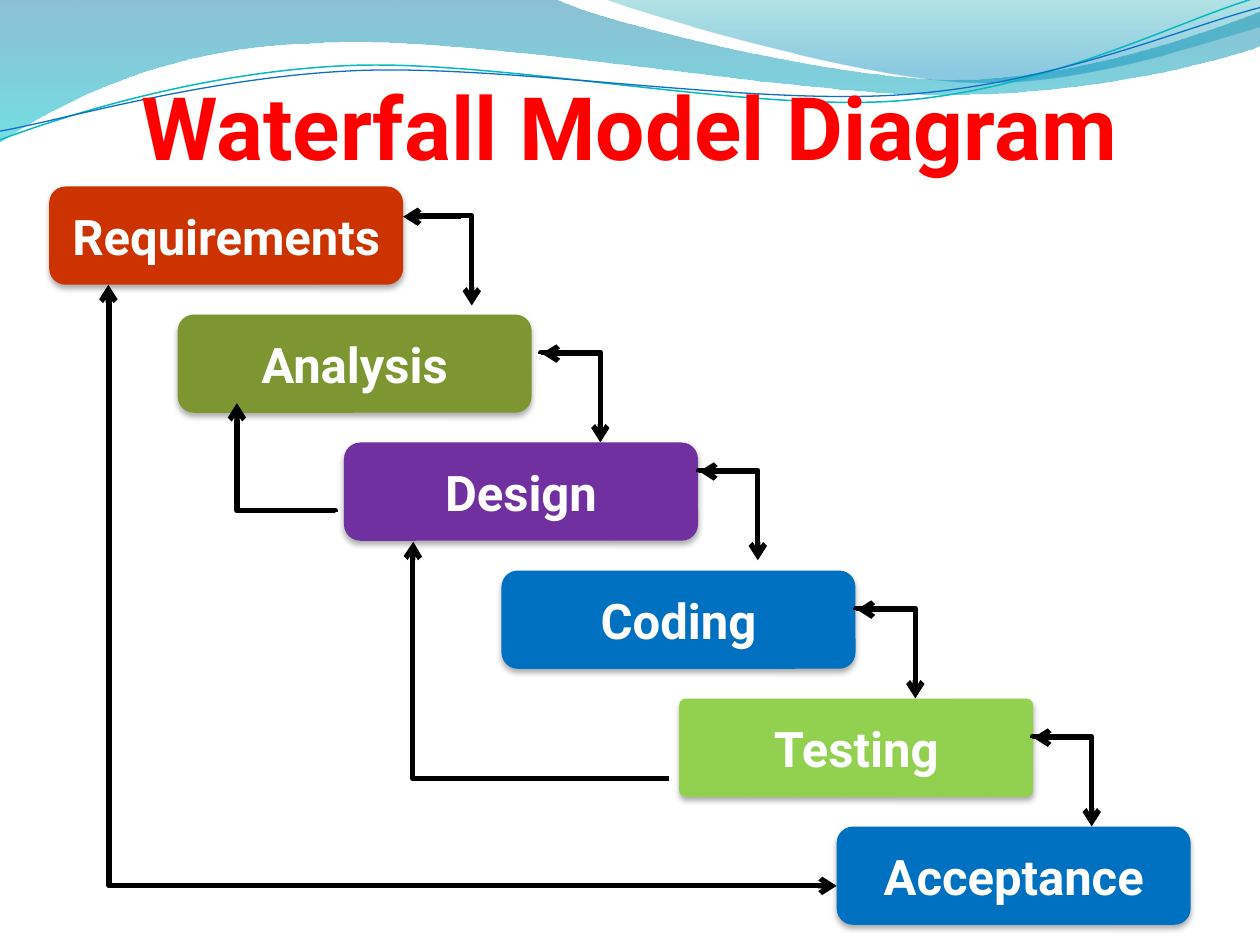
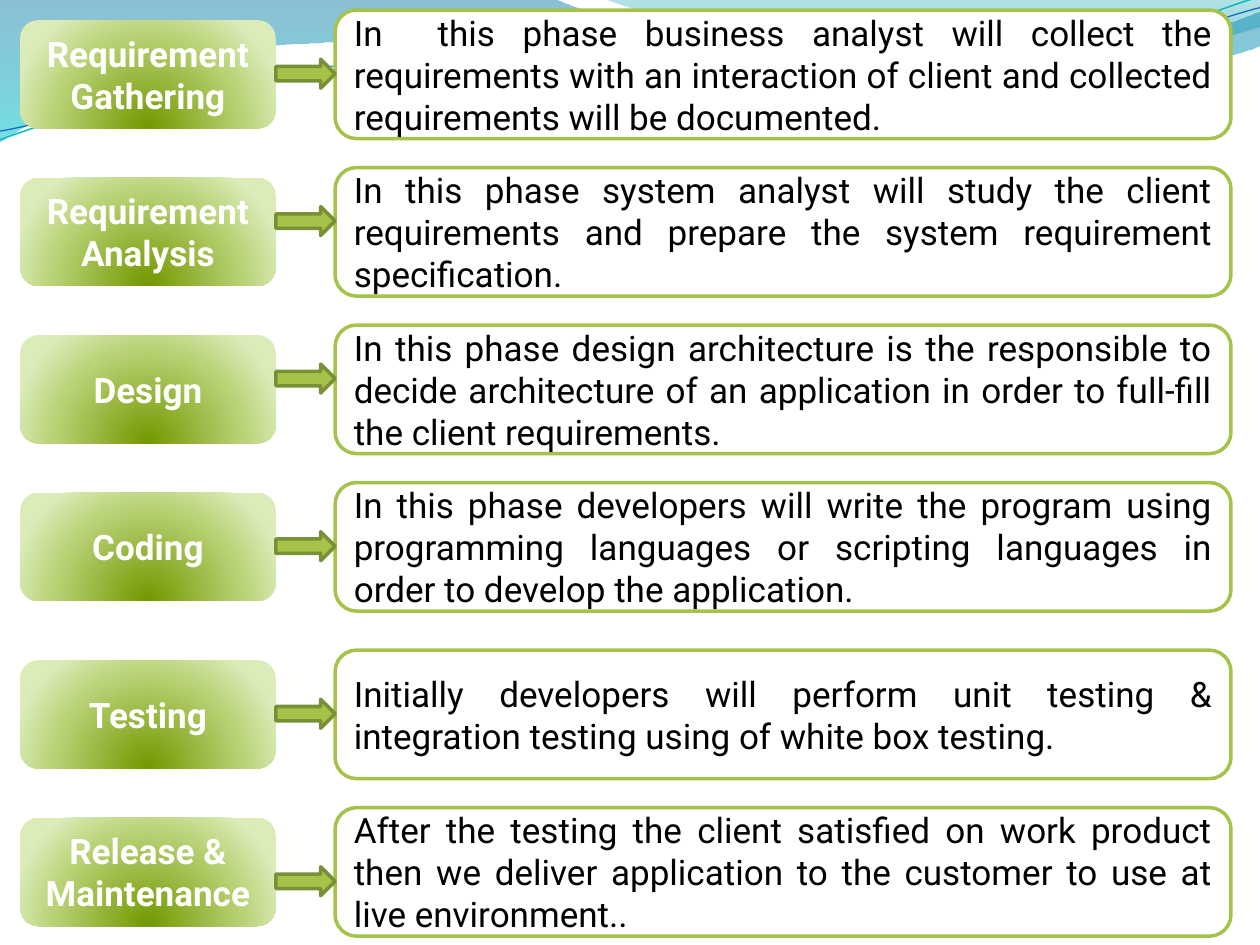
"""Two slides on the waterfall model: the step diagram and the phase list."""
import math
from collections import namedtuple

from pptx import Presentation, oxml, util as u
from pptx.dml.color import RGBColor
from pptx.enum import shapes, text
from pptx.oxml import ns

Box = namedtuple("Box", "left top width height")
KIND = shapes.MSO_SHAPE
ALIGN = text.PP_ALIGN
FONT = "Roboto"
COLORS = {
    "white": "FFFFFF", "black": "000000", "title": "FF0000",
    "rust": "CC3300", "olive": "7E9632", "purple": "7030A0",
    "blue": "0070C0", "lime": "92D050",
    "green": "A5C249", "green_edge": "7A9036",
    "phase_core": "729800", "phase_mid": "B8D275", "phase_rim": "DBECB9",
    "wave_blue": "0074A1", "wave_cyan": "00C6CF",
    "crest_teal": "00A1A9", "crest_blue": "008BBF",
    "teal_line": "0AB8BF", "blue_line": "0F6FC6",
}
DOWNWARD = '<a:lin ang="5400000" scaled="0"/>'
FROM_BELOW = ('<a:path path="circle"><a:fillToRect l="50000" t="130000" '
              'r="50000" b="-30000"/></a:path>')
PHASE_STOPS = [(0, "phase_core", 100), (68, "phase_mid", 100),
               (100, "phase_rim", 100)]

# Waves: a pair is a straight line to a point, six numbers are a curve
WAVE = [(0, 0), (4.4, -0.01), (4.76, 0.17, 6.64, 0.63, 7.58, 0.63),
        (8.53, 0.63, 9.58, 0.26, 10, 0.09), (10.01, 0.36),
        (9.83, 0.44, 8.7, 0.76, 7.46, 0.75),
        (6.22, 0.75, 3.82, 0.28, 2.57, 0.34),
        (1.29, 0.36, 0.46, 0.83, -0.01, 1.13), (0, 0)]
CREST = [(4.79, -0.01), (5.09, 0.11, 6.82, 0.62, 7.69, 0.65),
         (8.56, 0.69, 9.61, 0.32, 10, 0.21), (10, 0), (4.79, -0.01)]
TEAL_LINE = [(0, 1.11), (0.48, 0.93, 1.58, 0.57, 2.77, 0.52),
             (3.95, 0.47, 5.93, 0.89, 7.13, 0.8),
             (8.33, 0.71, 9.38, 0.15, 9.98, -0.02)]
BLUE_LINE = [(0, 1.04), (0.47, 0.96, 1.64, 0.61, 2.83, 0.56),
             (4.03, 0.51, 5.97, 0.84, 7.17, 0.75),
             (8.36, 0.67, 9.41, 0.21, 10, 0.06)]
LINE_TILT = 2.7

# name, colour, left, then from the right edge: arrow tip, bend start; drop
STEPS = [
    ("Requirements", "rust", 0, 0, 0.08, 0.24),
    ("Analysis", "olive", 1.02, 0.08, 0.08, 0.31),
    ("Design", "purple", 2.34, 0.01, 0.01, 0.23),
    ("Coding", "blue", 3.59, 0.01, 0.01, 0.31),
    ("Testing", "lime", 5, 0, 0, 0.31),
    ("Acceptance", "blue", 6.25, None, None, None),
]
# label lines, top, arrow drop, description
PHASES = [
    (["Requirement", "Gathering"], 0, 0.39,
     "In  this phase business analyst will collect the requirements with an "
     "interaction of client and collected requirements will be documented."),
    (["Requirement", "Analysis"], 1.25, 0.31,
     "In this phase system analyst will study the client requirements and "
     "prepare the system requirement specification."),
    (["Design"], 2.5, 0.31,
     "In this phase design architecture is the responsible to decide "
     "architecture of an application in order to full-fill the client "
     "requirements."),
    (["Coding"], 3.75, 0.39,
     "In this phase developers will write the program using programming "
     "languages or scripting languages in order to develop the application."),
    (["Testing"], 5.08, 0.39,
     "Initially developers will perform unit testing & integration testing "
     "using of white box testing."),
    (["Release &", "Maintenance"], 6.33, 0.47,
     "After the testing the client satisfied on work product then we deliver "
     "application to the customer to use at live environment.."),
]


def rgb(name):
    """Return the named colour."""
    return RGBColor.from_string(COLORS[name])


def inches(*lengths):
    """Return all lengths in EMU."""
    return [u.Inches(length) for length in lengths]


def parse(tag, body="", attributes=""):
    """Make one DrawingML element."""
    return oxml.parse_xml(f'<a:{tag} {ns.nsdecls("a")} {attributes}>{body}</a:{tag}>')


def color_xml(name, opacity):
    """Return a colour with opacity in percent."""
    return (f'<a:srgbClr val="{COLORS[name]}">'
            f'<a:alpha val="{opacity * 1000}"/></a:srgbClr>')


def set_gradient(shape, stops, direction):
    """Fill a shape with (position, colour, opacity) stops."""
    marks = "".join(f'<a:gs pos="{position * 1000}">{color_xml(name, opacity)}</a:gs>'
                    for position, name, opacity in stops)
    shape.fill.background()
    properties = shape.element.spPr
    properties.replace(properties.find(ns.qn("a:noFill")),
                       parse("gradFill", f"<a:gsLst>{marks}</a:gsLst>{direction}",
                             'rotWithShape="1"'))


def set_step_shadow(step):
    """Give a step a soft shadow straight below."""
    step.element.spPr.find(ns.qn("a:effectLst")).append(
        parse("outerShdw", color_xml("black", 32),
              f'blurRad="{u.Pt(3.5)}" dist="{u.Pt(2.2)}" '
              'dir="5400000" algn="t" rotWithShape="0"'))


def set_line(shape, color=None, width=2):
    """Outline a shape, or remove its outline."""
    if color:
        shape.line.color.rgb = rgb(color)
        shape.line.width = u.Pt(width)
    else:
        shape.line.fill.background()


def write(shape, lines, size, color, align, bold=False):
    """Write one paragraph for each line."""
    frame = shape.text_frame
    frame.word_wrap = True
    for index, line in enumerate(lines):
        paragraph = frame.add_paragraph() if index else frame.paragraphs[0]
        paragraph.alignment = align
        run = paragraph.add_run()
        run.text = line
        run.font.name, run.font.size, run.font.bold = FONT, u.Pt(size), bold
        run.font.color.rgb = rgb(color)


def add_block(slide, kind, box, fill=None, line=None):
    """Add a preset shape with a plain fill and no shadow."""
    block = slide.shapes.add_shape(kind, *inches(*box))
    block.shadow.inherit = False
    if fill:
        block.fill.solid()
        block.fill.fore_color.rgb = rgb(fill)
    set_line(block, line)
    block.text_frame.vertical_anchor = text.MSO_ANCHOR.MIDDLE
    return block


def add_outline(slide, box, outline, close, place=lambda x, y: (x, y)):
    """Draw lines and curves, measured from the box corner."""
    spots = []
    for part in outline:
        for x, y in zip(part[::2], part[1::2]):
            x, y = place(x, y)
            spots.append(inches(box.left + x, box.top + y))
    builder = slide.shapes.build_freeform(*spots[0])
    builder.add_line_segments(spots[1:], close=close)
    drawn = builder.convert_to_shape()
    drawn.shadow.inherit = False
    segments = iter(list(drawn.element.spPr.iter(ns.qn("a:lnTo"))))
    for part in outline[1:]:
        legs = [next(segments) for _ in range(len(part) // 2)]
        if len(legs) == 3:
            curve = parse("cubicBezTo")
            legs[0].addprevious(curve)
            for leg in legs:
                curve.append(leg[0])
                leg.getparent().remove(leg)
    return drawn


def add_waves(slide, box):
    """Draw the water bands and the two thin lines at the top."""
    parts = []
    for outline, stops in [
            (WAVE, [(0, "wave_blue", 45), (100, "wave_cyan", 55)]),
            (CREST, [(0, "crest_teal", 30), (80, "crest_blue", 45)])]:
        band = add_outline(slide, box, outline, True)
        set_gradient(band, stops, DOWNWARD)
        set_line(band)
        parts.append(band)
    cos, sin = (f(math.radians(LINE_TILT)) for f in (math.cos, math.sin))
    center = box.width / 2 - 0.01
    for outline, color, width, middle in [(TEAL_LINE, "teal_line", 0.85, 0.575),
                                          (BLUE_LINE, "blue_line", 0.75, 0.59)]:
        def level(x, y):
            """Turn a point so that the rotated line lands in place."""
            x, y = x - center, y - middle
            return center + x * cos - y * sin, middle + x * sin + y * cos

        ripple = add_outline(slide, box, outline, False, level)
        ripple.rotation = 360 - LINE_TILT
        ripple.fill.background()
        set_line(ripple, color, width)
        parts.append(ripple)
    return parts


def share_waves(slide):
    """Put the waves on the layout, in place of its placeholders."""
    shared = slide.slide_layout.shapes.element
    for placeholder in list(slide.slide_layout.placeholders):
        shared.remove(placeholder.element)
    for part in add_waves(slide, Box(0, 0, 10, 1.14)):
        shared.append(part.element)


def add_title(slide, box, title):
    """Write the slide title on the bottom edge of its box."""
    heading = slide.shapes.add_textbox(*inches(*box))
    frame = heading.text_frame
    frame.vertical_anchor = text.MSO_ANCHOR.BOTTOM
    frame.margin_left = frame.margin_right = frame.margin_bottom = 0
    write(heading, [title], 50, "title", ALIGN.CENTER, True)


def add_arrow(slide, start, end, bend=None, turn=0):
    """Add an arrow; bend is the elbow position, turn its rotation."""
    kind = shapes.MSO_CONNECTOR.STRAIGHT if bend is None else shapes.MSO_CONNECTOR.ELBOW
    arrow = slide.shapes.add_connector(kind, *inches(*start, *end))
    set_line(arrow, "black", 3)
    properties = arrow.element.spPr
    properties.find(ns.qn("a:ln")).append(parse("tailEnd", "", 'type="arrow"'))
    properties.append(parse("effectLst"))
    if bend is not None:
        properties.find(ns.qn("a:prstGeom")).find(ns.qn("a:avLst")).append(
            parse("gd", "", f'name="adj1" fmla="val {round(bend * 100000)}"'))
    if turn:
        properties.find(ns.qn("a:xfrm")).set("rot", str(turn * 60000))


def add_staircase(slide, box):
    """Place the falling steps with their forward and feedback arrows."""
    width, height = 2.81, 0.78
    pitch = (box.height - height) / (len(STEPS) - 1)
    for index, (name, color, left, *_) in enumerate(STEPS):
        place = Box(box.left + left, box.top + index * pitch, width, height)
        step = add_block(slide, KIND.ROUNDED_RECTANGLE, place, color)
        if name == "Testing":
            step.adjustments[0] = 0.068
        set_step_shadow(step)
        write(step, [name], 28, "white", ALIGN.CENTER, True)

    def at(x, y):
        return box.left + x, box.top + y

    add_arrow(slide, at(0.47, 0.86), at(6.25, 5.55), 0.001)
    add_arrow(slide, at(0.47, 1.41), at(0.47, 0.78))
    for index, (_, _, left, tip, bend_start, drop) in enumerate(STEPS[:-1]):
        edge, y = left + width, index * pitch + drop
        x = edge + bend_start
        add_arrow(slide, at(x + 0.58, y + 0.12), at(x - 0.12, y + 0.59), -0.02, 270)
        add_arrow(slide, at(edge + tip + 0.46, y), at(edge + tip, y))
    add_arrow(slide, at(1.45, 2.54), at(2.31, 1.76), 0.008, 270)
    add_arrow(slide, at(2.89, 2.82), at(4.92, 4.7), 1.002, 180)


def add_phase(slide, box, label, arrow_drop, description):
    """Place one row: phase label, arrow and description."""
    phase = add_block(slide, KIND.ROUNDED_RECTANGLE,
                      Box(box.left, box.top + 0.08, 2.03, 0.86))
    set_gradient(phase, PHASE_STOPS, FROM_BELOW)
    write(phase, label, 20, "white", ALIGN.CENTER, True)
    details = add_block(slide, KIND.ROUNDED_RECTANGLE,
                        Box(box.left + 2.5, box.top, box.width - 2.5, box.height),
                        "white", "green")
    write(details, [description], 20, "black", ALIGN.JUSTIFY)
    add_block(slide, KIND.RIGHT_ARROW,
              Box(box.left + 2.03, box.top + arrow_drop, 0.47, 0.23),
              "green", "green_edge")


def main():
    """Build and save both slides."""
    deck = Presentation()
    deck.slide_width, deck.slide_height = inches(10, 7.5)
    blank = deck.slide_layouts[6]
    diagram = deck.slides.add_slide(blank)
    share_waves(diagram)
    add_title(diagram, Box(0, 0.16, 10, 1.25), "Waterfall Model Diagram")
    add_staircase(diagram, Box(0.39, 1.48, 9.06, 5.86))
    phase_list = deck.slides.add_slide(blank)
    for label, top, arrow_drop, description in PHASES:
        add_phase(phase_list, Box(0.16, 0.08 + top, 9.61, 1.02),
                  label, arrow_drop, description)
    deck.save("out.pptx")


main()
